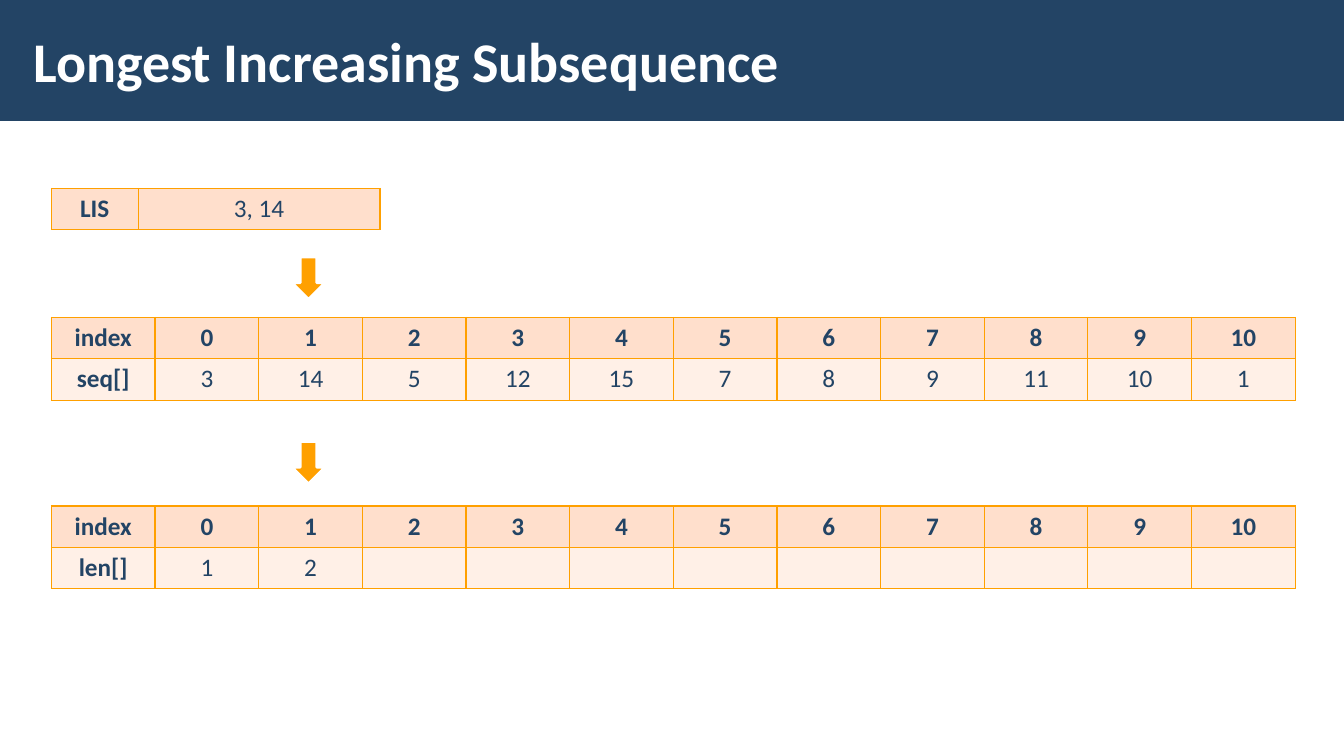
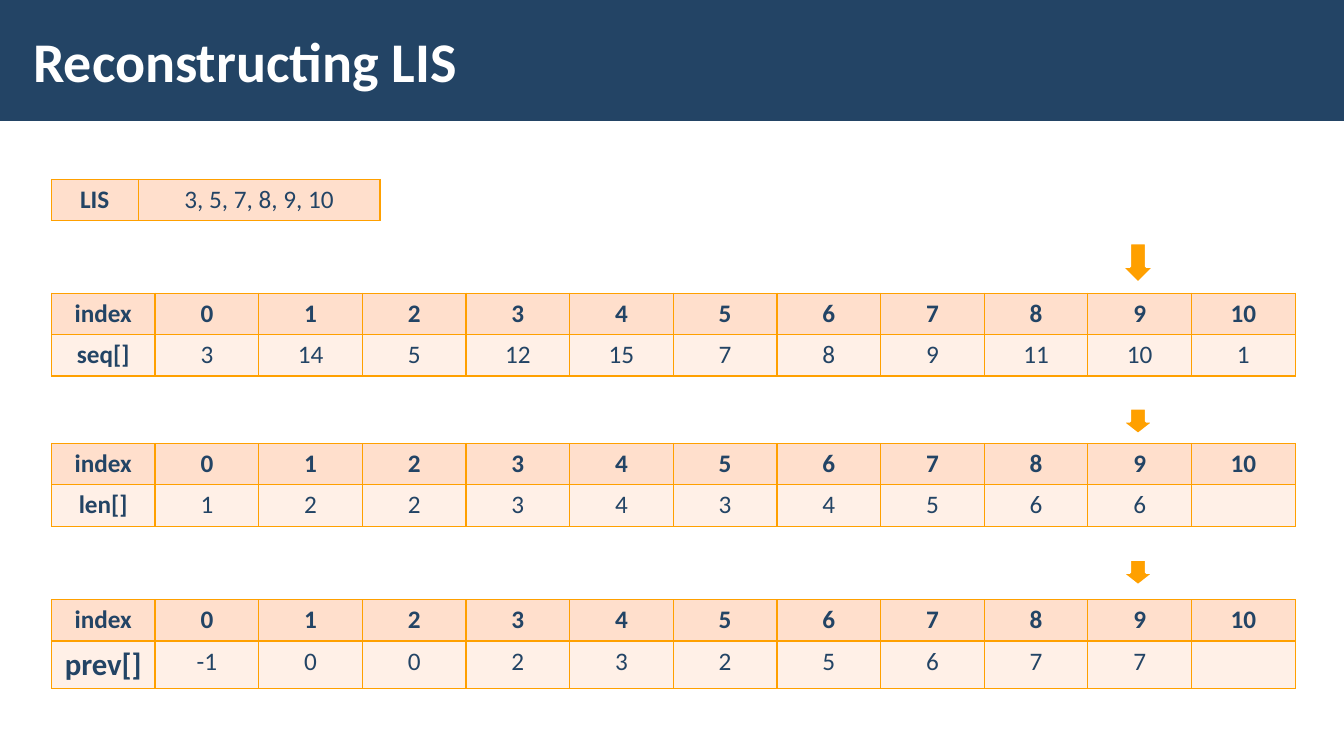
from lxml.etree import SubElement
from pptx import Presentation
from pptx.dml.color import RGBColor
from pptx.enum.shapes import MSO_SHAPE as Preset
from pptx.enum.text import MSO_ANCHOR as Anchor, MSO_AUTO_SIZE as AutoSize, PP_ALIGN as Align
from pptx.oxml.ns import qn
from pptx.util import Inches, Pt

COLORS = {
    "navy": "234465",
    "white": "FFFFFF",
    "orange": "FFA000",
    "header": "FFDFCC",
    "body": "FFF0E7",
}
FONT = "Calibri"
WIDTH, HEIGHT = 13.33, 7.5
BAND_HEIGHT = 0.16 * HEIGHT
MARGIN = 0.51
COLUMNS = 12
COLUMN = (WIDTH - MARGIN - 0.48) / COLUMNS
ROW = 0.41
ARROW_WIDTH = 0.33
ARROW_SHIFT = 0.02
LABEL_SIZE = 18
LIS_WIDTHS = [0.86, 2.4]
SEQUENCE = [3, 14, 5, 12, 15, 7, 8, 9, 11, 10, 1]


def rgb(name):
    return RGBColor.from_string(COLORS[name])


def set_font(paragraph, size, color, bold):
    font = paragraph.font
    font.name, font.size, font.bold = FONT, Pt(size), bold
    font.color.rgb = rgb(color)


def add_shape(slide, preset, left, top, width, height, fill):
    box = [Inches(value) for value in (left, top, width, height)]
    shape = slide.shapes.add_shape(preset, *box)
    shape.shadow.inherit = False
    shape.fill.solid()
    shape.fill.fore_color.rgb = rgb(fill)
    return shape


def add_layout_band(slide):
    band = add_shape(slide, Preset.RECTANGLE, 0, 0, WIDTH, BAND_HEIGHT, "navy")
    band.line.fill.background()
    band.element.nvSpPr.cNvPr.set("id", "100")
    slide.slide_layout.shapes.element.insert(2, band.element)


def add_slide(presentation, layout, text):
    slide = presentation.slides.add_slide(layout)
    title = slide.shapes.title
    title.left, title.top = Inches(0.21), Inches(0.11)
    title.width, title.height = Inches(10.63), Inches(0.97)
    frame = title.text_frame
    frame.text = text
    frame.word_wrap = True
    frame.auto_size = AutoSize.NONE
    frame.vertical_anchor = Anchor.MIDDLE
    frame.margin_left = frame.margin_right = Inches(0.12)
    frame.margin_top = frame.margin_bottom = Inches(0.04)
    frame.paragraphs[0].alignment = Align.LEFT
    set_font(frame.paragraphs[0], 40, "white", True)
    return slide


def set_borders(cell):
    properties = cell._tc.get_or_add_tcPr()
    for position, side in enumerate(("lnL", "lnR", "lnT", "lnB")):
        line = SubElement(properties, qn(f"a:{side}"), w=str(Pt(1)))
        fill = SubElement(line, qn("a:solidFill"))
        SubElement(fill, qn("a:srgbClr"), val=COLORS["orange"])
        properties.insert(position, line)


def format_cell(cell, text, fill, bold, size):
    cell.text = str(text)
    cell.fill.solid()
    cell.fill.fore_color.rgb = rgb(fill)
    set_borders(cell)
    paragraph = cell.text_frame.paragraphs[0]
    paragraph.alignment = Align.CENTER
    set_font(paragraph, size, "navy", bold)


def add_grid(slide, top, rows, widths, bold_header, label_size=LABEL_SIZE):
    frame = slide.shapes.add_table(
        len(rows), len(widths), Inches(MARGIN), Inches(top),
        Inches(sum(widths)), Inches(ROW * len(rows)))
    table = frame.table
    table.first_row = table.horz_banding = False
    for column, width in zip(table.columns, widths):
        column.width = Inches(width)
    for row_index, values in enumerate(rows):
        table.rows[row_index].height = Inches(ROW)
        header = row_index == 0
        for column_index, value in enumerate(values):
            label = column_index == 0
            format_cell(
                table.cell(row_index, column_index), value,
                "header" if header else "body",
                label or (header and bold_header),
                LABEL_SIZE if header or not label else label_size)


def add_lis(slide, top, text):
    add_grid(slide, top, [["LIS", text]], LIS_WIDTHS, False)


def add_array(slide, top, name, values, label_size=LABEL_SIZE):
    indices = ["index", *range(COLUMNS - 1)]
    blanks = [""] * (COLUMNS - 1 - len(values))
    rows = [indices, [name, *values, *blanks]]
    add_grid(slide, top, rows, [COLUMN] * COLUMNS, True, label_size)


def add_index_arrow(slide, index, top, height):
    left = MARGIN + (index + 1.5) * COLUMN - ARROW_WIDTH / 2 - ARROW_SHIFT
    arrow = add_shape(slide, Preset.DOWN_ARROW, left, top, ARROW_WIDTH, height, "orange")
    arrow.line.color.rgb = rgb("white")
    arrow.line.width = Pt(2)


def build_subsequence(slide):
    for top in (2.55, 4.38):
        add_index_arrow(slide, 1, top, 0.42)
    add_array(slide, 3.15, "seq[]", SEQUENCE)
    add_array(slide, 5.02, "len[]", [1, 2])
    add_lis(slide, 1.87, "3, 14")


def build_reconstruction(slide):
    for top, height in ((2.41, 0.4), (4.05, 0.26), (5.55, 0.26)):
        add_index_arrow(slide, 9, top, height)
    add_array(slide, 2.91, "seq[]", SEQUENCE)
    add_array(slide, 4.4, "len[]", [1, 2, 2, 3, 4, 3, 4, 5, 6, 6])
    add_array(slide, 5.95, "prev[]", [-1, 0, 0, 2, 3, 2, 5, 6, 7, 7], 22)
    add_lis(slide, 1.78, "3, 5, 7, 8, 9, 10")


def main():
    presentation = Presentation()
    presentation.slide_width = Inches(WIDTH)
    presentation.slide_height = Inches(HEIGHT)
    layout = presentation.slide_layouts[5]
    subsequence = add_slide(presentation, layout, "Longest Increasing Subsequence")
    add_layout_band(subsequence)
    build_subsequence(subsequence)
    build_reconstruction(add_slide(presentation, layout, "Reconstructing LIS"))
    presentation.save("out.pptx")


if __name__ == "__main__":
    main()
